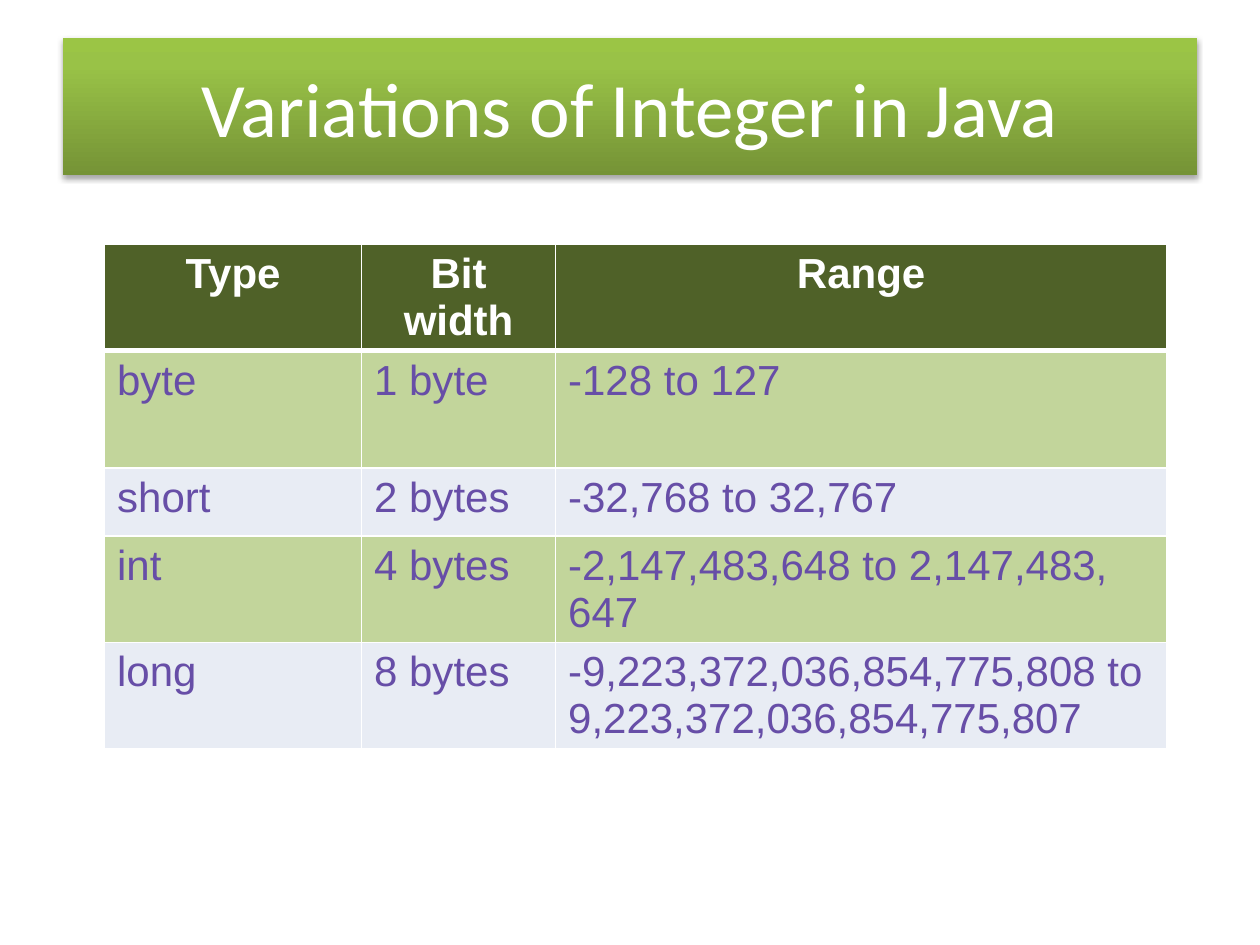
from pptx import Presentation
from pptx.dml.color import RGBColor
from pptx.enum.shapes import MSO_SHAPE as Shape
from pptx.enum.text import MSO_ANCHOR as Anchor, PP_ALIGN as Align
from pptx.oxml import parse_xml
from pptx.oxml.ns import nsdecls, qn
from pptx.util import Inches, Pt

WHITE, PURPLE = "FFFFFF", "674EA7"
HEADER_FILL, BAND_FILLS = "4F6128", ("C2D59B", "E8ECF4")
TITLE_STOPS = ((0, "759336"), (80, "99C247"), (100, "9BC545"))

COLUMN_WIDTHS = (2.04, 1.54, 4.85)
ROW_HEIGHTS = (0.54, 0.93, 0.54, 0.54, 0.54)
INTEGER_TYPES = (
    ("Type", "Bit width", "Range"),
    ("byte", "1 byte", "-128 to 127"),
    ("short", "2 bytes", "-32,768 to 32,767"),
    ("int", "4 bytes", "-2,147,483,648 to 2,147,483, 647"),
    ("long", "8 bytes", "-9,223,372,036,854,775,808 to\n9,223,372,036,854,775,807"),
)


def color(value):
    return RGBColor.from_string(value)


def write_text(frame, text, font="Arial", size=24, fill=PURPLE, bold=False, align=Align.LEFT):
    """Write one paragraph for each line of text."""
    frame.word_wrap = True
    for index, line in enumerate(text.split("\n")):
        para = frame.add_paragraph() if index else frame.paragraphs[0]
        para.alignment = align
        span = para.add_run()
        span.text = line
        span.font.name, span.font.size, span.font.bold = font, Pt(size), bold
        span.font.color.rgb = color(fill)


def set_borders(cell, bottom=1):
    """Draw white borders of one point, with a chosen bottom width."""
    properties = cell._tc.get_or_add_tcPr()
    for side, width in (("L", 1), ("R", 1), ("T", 1), ("B", bottom)):
        properties.append(parse_xml(
            f'<a:ln{side} {nsdecls("a")} w="{Pt(width)}"><a:solidFill>'
            f'<a:srgbClr val="{WHITE}"/></a:solidFill></a:ln{side}>'))


def add_title(page, left, top, width, height):
    box = page.shapes.add_shape(Shape.RECTANGLE, left, top, width, height)
    box.line.fill.background()
    box.shadow.inherit = False
    properties = box._element.spPr
    stops = "".join(f'<a:gs pos="{position * 1000}"><a:srgbClr val="{value}"/></a:gs>'
                    for position, value in TITLE_STOPS)
    properties.find(qn("a:ln")).addprevious(parse_xml(
        f'<a:gradFill {nsdecls("a")} rotWithShape="1"><a:gsLst>{stops}</a:gsLst>'
        '<a:lin ang="16200000" scaled="0"/></a:gradFill>'))
    properties.find(qn("a:effectLst")).append(parse_xml(
        f'<a:outerShdw {nsdecls("a")} blurRad="{Pt(3.1)}" dist="{Pt(1.8)}" dir="5400000" '
        'rotWithShape="0"><a:srgbClr val="000000"><a:alpha val="35000"/></a:srgbClr>'
        '</a:outerShdw>'))
    box.text_frame.vertical_anchor = Anchor.MIDDLE
    write_text(box.text_frame, "Variations of Integer in Java", font="Calibri", size=44,
               fill=WHITE, align=Align.CENTER)


def add_type_table(page, left, top, width, height):
    table = page.shapes.add_table(len(ROW_HEIGHTS), len(COLUMN_WIDTHS),
                                  left, top, width, height).table
    for column, column_width in zip(table.columns, COLUMN_WIDTHS):
        column.width = Inches(column_width)
    for index, (row, row_height) in enumerate(zip(table.rows, ROW_HEIGHTS)):
        row.height = Inches(row_height)
        header = index == 0
        for cell, text in zip(row.cells, INTEGER_TYPES[index]):
            set_borders(cell, bottom=3 if header else 1)
            cell.fill.solid()
            cell.fill.fore_color.rgb = color(
                HEADER_FILL if header else BAND_FILLS[(index - 1) % 2])
            write_text(cell.text_frame, text, fill=WHITE if header else PURPLE, bold=header,
                       align=Align.CENTER if header else Align.LEFT)


def main():
    deck = Presentation()
    deck.slide_width, deck.slide_height = Inches(10), Inches(7.5)
    page = deck.slides.add_slide(deck.slide_layouts[6])
    add_type_table(page, Inches(0.83), Inches(1.94),
                   Inches(sum(COLUMN_WIDTHS)), Inches(sum(ROW_HEIGHTS)))
    add_title(page, Inches(0.5), Inches(0.3), Inches(9), Inches(1.09))
    deck.save("out.pptx")


if __name__ == "__main__":
    main()
